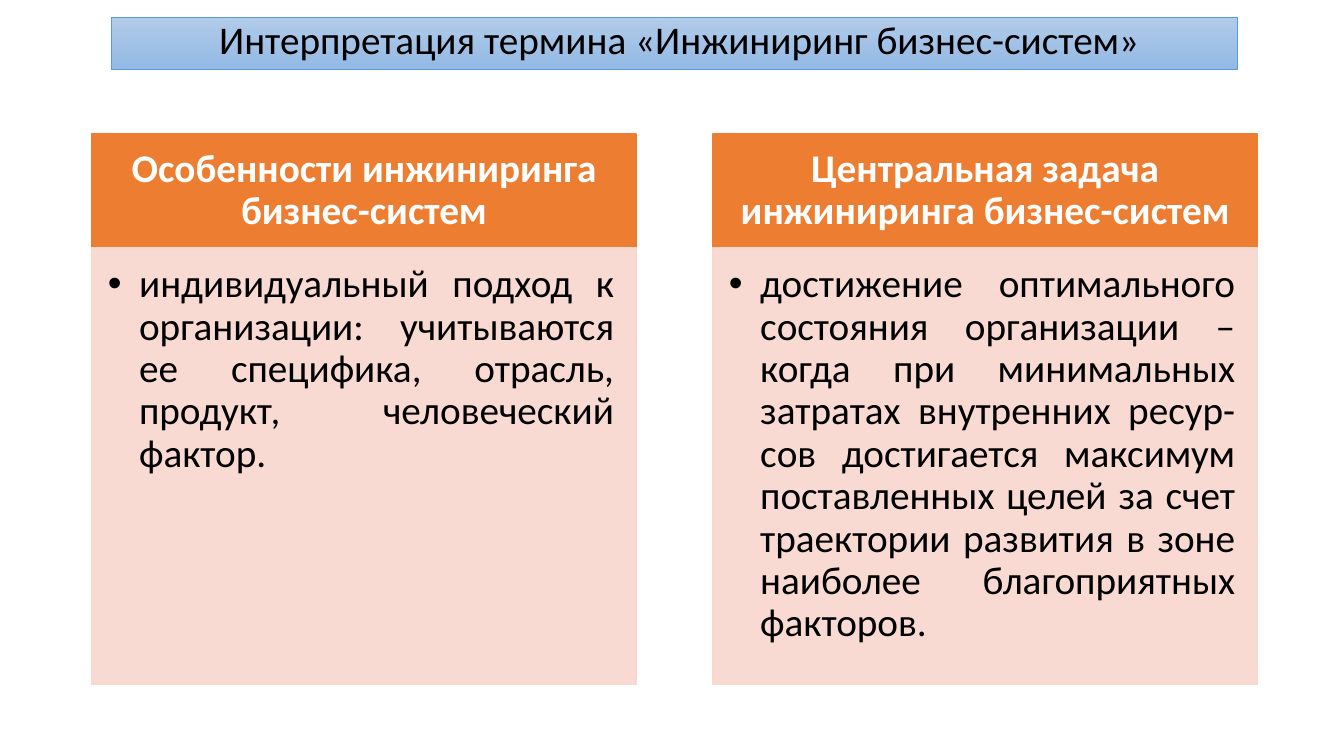
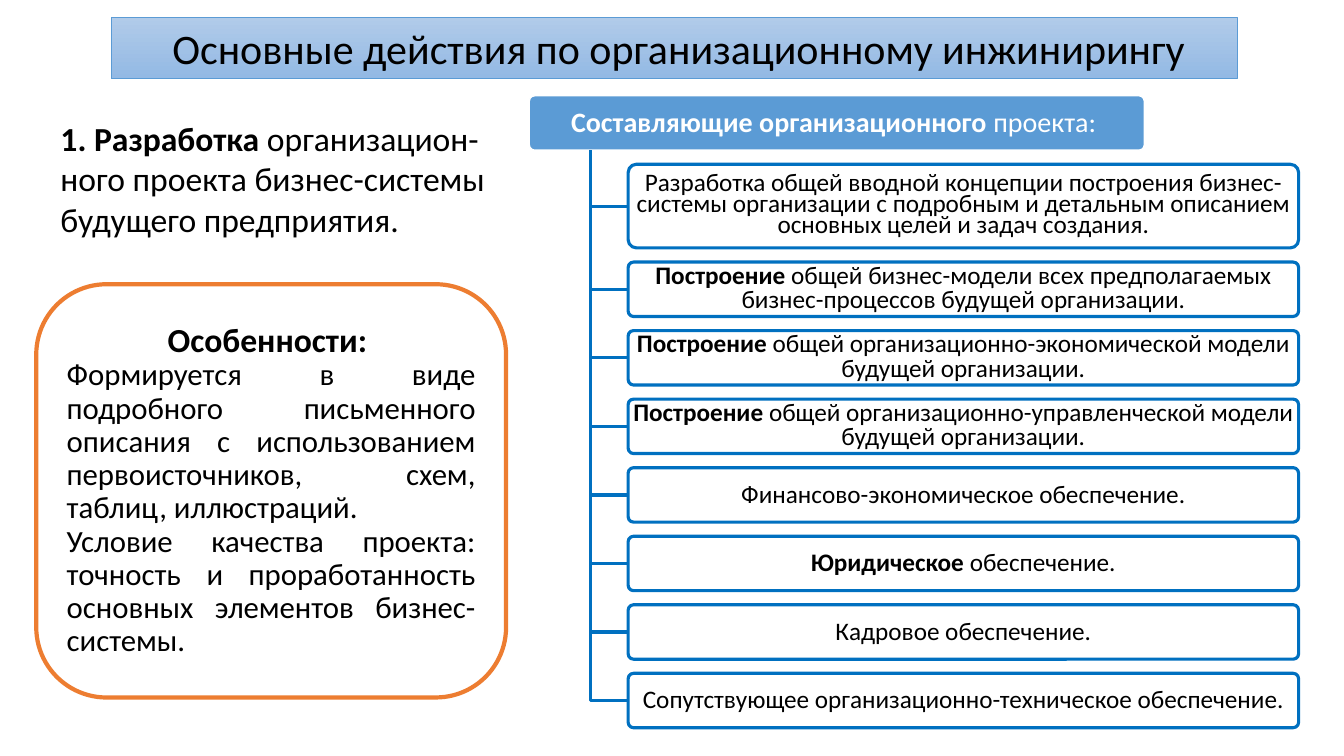
"""Build two slides on the engineering of business systems."""
from dataclasses import dataclass

from lxml.etree import SubElement
from pptx import Presentation
from pptx.dml.color import RGBColor
from pptx.enum.shapes import MSO_SHAPE
from pptx.enum.text import MSO_ANCHOR, MSO_AUTO_SIZE, PP_ALIGN
from pptx.oxml.ns import qn
from pptx.util import Inches, Pt

FONT = "Calibri"
COLORS = {
    "text": "000000",
    "white": "FFFFFF",
    "band_top": "B1CBE9",
    "band_bottom": "93B9E4",
    "blue": "5B9BD5",
    "tree": "0070C0",
    "orange": "ED7D31",
    "peach": "F8D7CE",
}


@dataclass(frozen=True)
class Box:
    left: float
    top: float
    width: float
    height: float


@dataclass(frozen=True)
class Passage:
    text: str
    lead: str = ""
    size: int = 18
    bold: bool = False
    color: str = "text"
    align: PP_ALIGN = PP_ALIGN.CENTER
    spacing: float = 0.9


@dataclass(frozen=True)
class Column:
    left: float
    heading: str
    point: str


COLUMNS = (
    Column(
        0.91,
        "Особенности инжиниринга бизнес-систем",
        "индивидуальный подход к организации: учитываются ее специфика, отрасль, "
        "продукт, человеческий фактор.",
    ),
    Column(
        7.07,
        "Центральная задача инжиниринга бизнес-систем",
        "достижение оптимального состояния организации – когда при минимальных "
        "затратах внутренних ресур-сов достигается максимум поставленных целей "
        "за счет траектории развития в зоне наиболее благоприятных факторов.",
    ),
)

COMPONENTS = (
    Passage(
        "Разработка общей вводной концепции построения бизнес-системы организации "
        "с подробным и детальным описанием основных целей и задач создания.",
        spacing=0.7,
    ),
    Passage(
        " общей бизнес-модели всех предполагаемых бизнес-процессов будущей организации.",
        lead="Построение",
        spacing=0.8,
    ),
    Passage(
        " общей организационно-экономической модели будущей организации.",
        lead="Построение",
        spacing=0.8,
    ),
    Passage(
        "общей организационно-управленческой модели будущей организации.",
        lead="Построение ",
        spacing=0.8,
    ),
    Passage("Финансово-экономическое обеспечение."),
    Passage("обеспечение.", lead="Юридическое "),
    Passage("Кадровое обеспечение."),
    Passage("Сопутствующее организационно-техническое обеспечение."),
)

FEATURES = (
    Passage("Особенности: ", size=24, bold=True),
    Passage(
        "Формируется в виде подробного письменного описания с использованием "
        "первоисточников, схем, таблиц, иллюстраций.",
        size=22,
        align=PP_ALIGN.JUSTIFY,
    ),
    Passage(
        "Условие качества проекта: точность и проработанность основных элементов "
        "бизнес-системы.",
        size=22,
        align=PP_ALIGN.JUSTIFY,
    ),
)


def rgb(name: str) -> RGBColor:
    return RGBColor.from_string(COLORS[name])


def place(shape, box: Box) -> None:
    shape.left, shape.top = Inches(box.left), Inches(box.top)
    shape.width, shape.height = Inches(box.width), Inches(box.height)


def paint(shape, fill: str, line: str, weight: float, opacity: int = 100) -> None:
    shape.fill.solid()
    shape.fill.fore_color.rgb = rgb(fill)
    shape.line.color.rgb = rgb(line)
    shape.line.width = Pt(weight)
    if opacity < 100:
        tint = shape._element.spPr.find(qn("a:solidFill"))[0]
        SubElement(tint, qn("a:alpha"), val=str(opacity * 1000))


def write(shape, passages, anchor=MSO_ANCHOR.MIDDLE, insets=(0.1, 0.05, 0.1, 0.05)) -> None:
    frame = shape.text_frame
    frame.word_wrap = True
    frame.auto_size = MSO_AUTO_SIZE.NONE
    frame.vertical_anchor = anchor
    (frame.margin_left, frame.margin_top,
     frame.margin_right, frame.margin_bottom) = map(Inches, insets)
    frame.text = "\n".join(passage.lead or passage.text for passage in passages)
    for paragraph, passage in zip(frame.paragraphs, passages):
        if passage.lead:
            paragraph.add_run().text = passage.text
        paragraph.alignment = passage.align
        paragraph.line_spacing = passage.spacing
        paragraph.space_before = paragraph.space_after = Pt(0)
        for position, run in enumerate(paragraph.runs):
            run.font.name = FONT
            run.font.size = Pt(passage.size)
            run.font.bold = passage.bold or bool(passage.lead and position == 0)
            run.font.color.rgb = rgb(passage.color)


def set_bullet(shape, left: float, indent: float, mark: str = "") -> None:
    properties = shape.text_frame.paragraphs[0]._p.get_or_add_pPr()
    properties.set("marL", str(Inches(left)))
    properties.set("indent", str(Inches(indent)))
    if mark:
        SubElement(properties, qn("a:buFont"), typeface="Arial")
        SubElement(properties, qn("a:buChar"), char=mark)
    else:
        SubElement(properties, qn("a:buNone"))


def add_rounded(slide, box: Box, corner: float):
    shape = slide.shapes.add_shape(
        MSO_SHAPE.ROUNDED_RECTANGLE,
        Inches(box.left), Inches(box.top), Inches(box.width), Inches(box.height),
    )
    shape.adjustments[0] = corner
    shape.shadow.inherit = False
    return shape


def add_branch(slide, trunk_x: float, root_y: float, item_x: float, item_y: float) -> None:
    outline = slide.shapes.build_freeform(Inches(trunk_x), Inches(root_y))
    outline.add_line_segments(
        [(Inches(trunk_x), Inches(item_y)), (Inches(item_x), Inches(item_y))], close=False
    )
    branch = outline.convert_to_shape()
    branch.shadow.inherit = False
    branch.fill.background()
    branch.line.color.rgb = rgb("tree")
    branch.line.width = Pt(2.25)


def add_title(slide, text: str, size: int, height: float, spacing: float,
              inset: float = 0.05) -> None:
    title = slide.shapes.title
    place(title, Box(1.1, 0.17, 11.17, height))
    title.fill.gradient()
    title.fill.gradient_angle = 270
    for stop, name in zip(title.fill.gradient_stops, ("band_top", "band_bottom")):
        stop.color.rgb = rgb(name)
    title.line.color.rgb = rgb("blue")
    title.line.width = Pt(0.5)
    write(title, [Passage(text, size=size, spacing=spacing)],
          MSO_ANCHOR.TOP, (0.2, inset, 0.1, 0.05))


def build_interpretation(deck) -> None:
    slide = deck.slides.add_slide(deck.slide_layouts[4])
    add_title(slide, "Интерпретация термина «Инжиниринг бизнес-систем»",
              28, 0.52, 0.8, inset=0.07)
    areas = list(slide.placeholders)[1:]
    for column, heading, body in zip(COLUMNS, areas[::2], areas[1::2]):
        place(heading, Box(column.left, 1.33, 5.4, 1.12))
        paint(heading, "orange", "orange", 1)
        write(heading, [Passage(column.heading, size=28, bold=True, color="white")],
              insets=(0.22, 0.12, 0.22, 0.12))
        place(body, Box(column.left, 2.46, 5.4, 4.33))
        paint(body, "peach", "peach", 1, opacity=90)
        write(body, [Passage(column.point, size=28, align=PP_ALIGN.JUSTIFY)],
              MSO_ANCHOR.TOP, (0.16, 0.16, 0.22, 0.24))
        set_bullet(body, 0.31, -0.31, "•")


def build_component_tree(slide) -> None:
    trunk_x, root_bottom, item_left, gap = 5.86, 1.49, 6.23, 0.14
    insets = (0.03, 0.03, 0.03, 0.03)
    root = add_rounded(slide, Box(5.25, 0.95, 6.1, 0.54), 0.1)
    paint(root, "blue", "white", 1)
    write(root, [Passage("проекта: ", lead="Составляющие организационного ",
                         size=20, color="white")], insets=insets)
    top = 1.63
    for position, component in enumerate(COMPONENTS):
        height = 0.54 if position else 0.83
        add_branch(slide, trunk_x, root_bottom, item_left, top + height / 2)
        item = add_rounded(slide, Box(item_left, top, 6.65, height), 0.1)
        paint(item, "white", "tree", 2.25, opacity=90)
        write(item, [component], insets=insets)
        top += height + gap


def build_actions(deck) -> None:
    slide = deck.slides.add_slide(deck.slide_layouts[1])
    add_title(slide, "Основные действия по организационному инжинирингу", 30, 0.61, 1.0)
    action = slide.placeholders[1]
    place(action, Box(0, 1.12, 5.03, 1.31))
    write(action, [Passage("организацион-ного проекта бизнес-системы будущего предприятия.",
                           lead="1. Разработка ", size=24, align=PP_ALIGN.LEFT, spacing=1.0)],
          MSO_ANCHOR.TOP)
    set_bullet(action, 0.5, 0)
    features = add_rounded(slide, Box(0.36, 2.82, 4.66, 4.1), 0.17)
    paint(features, "white", "orange", 3)
    write(features, FEATURES)
    build_component_tree(slide)


def main() -> None:
    deck = Presentation()
    deck.slide_width, deck.slide_height = Inches(13.33), Inches(7.5)
    build_interpretation(deck)
    build_actions(deck)
    deck.save("out.pptx")


if __name__ == "__main__":
    main()
